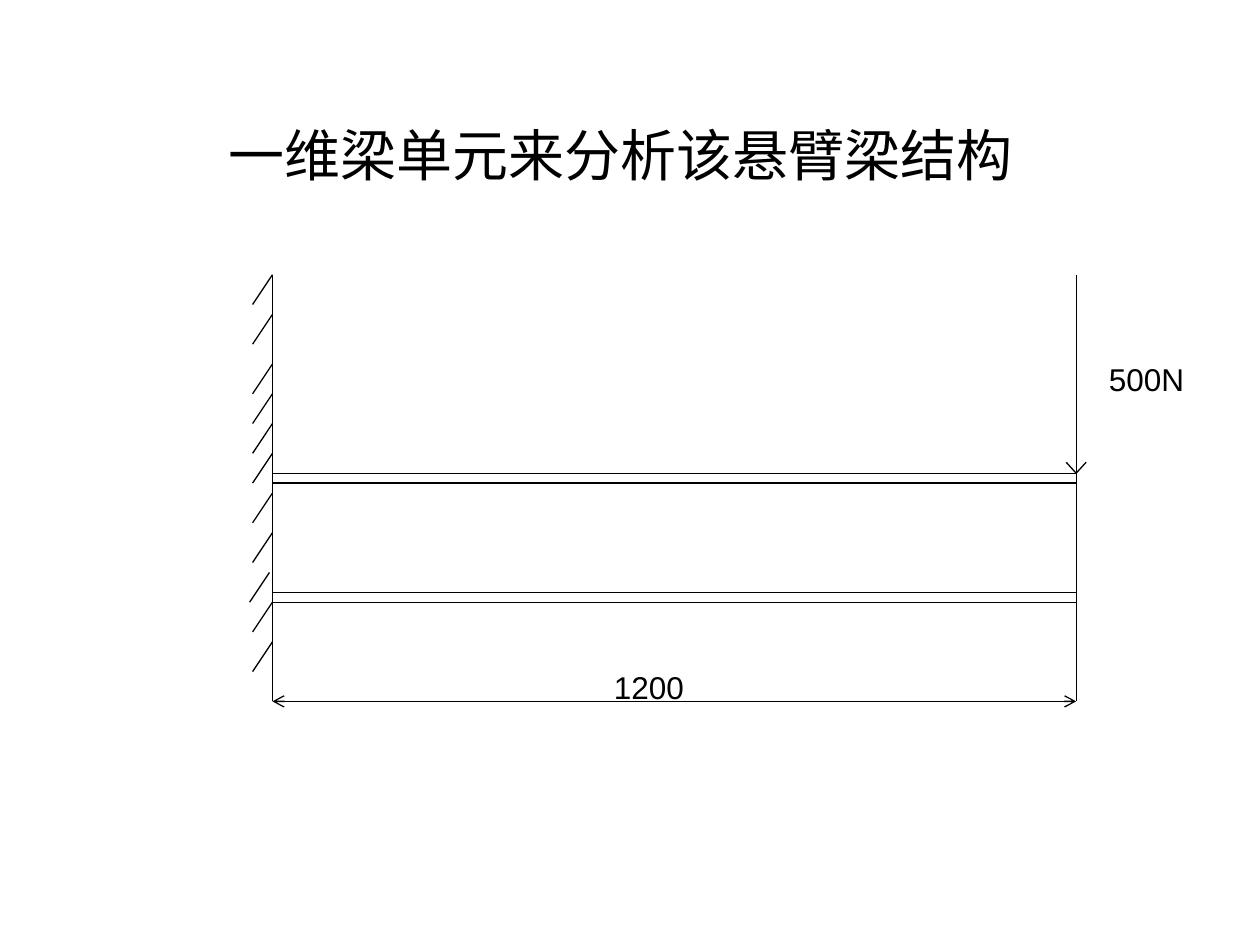
from lxml import etree
from pptx import Presentation
from pptx.dml.color import RGBColor
from pptx.enum import shapes, text
from pptx.oxml.ns import qn
from pptx.util import Pt

BLACK = RGBColor(0, 0, 0)
UNIT = 5.67  # drawing grid, 2 mm in points
SPAN = 81    # beam length in grid units
HATCH_ROWS = (0, 4, 9, 12, 15, 18, 22, 26, 30, 33, 37)
FLANGE_ROWS = (20, 21, 32, 33)
WALL_END, LOAD_END, DIMENSION_ROW = 37, 38, 43


def add_text(slide, wording, left, top, width, height, size=18,
             align=text.PP_ALIGN.LEFT, anchor=text.MSO_ANCHOR.TOP):
    frame = slide.shapes.add_textbox(
        Pt(left), Pt(top), Pt(width), Pt(height)).text_frame
    frame.word_wrap = True
    frame.vertical_anchor = anchor
    paragraph = frame.paragraphs[0]
    paragraph.text = wording
    paragraph.alignment = align
    paragraph.font.size = Pt(size)
    paragraph.font.name = "Arial"
    paragraph.font.color.rgb = BLACK


def add_line(slide, x1, y1, x2, y2, arrows=False):
    line = slide.shapes.add_connector(
        shapes.MSO_CONNECTOR.STRAIGHT, Pt(x1), Pt(y1), Pt(x2), Pt(y2))
    line.line.color.rgb = BLACK
    line.line.width = Pt(0.75)
    if arrows:
        outline = line.line._get_or_add_ln()
        for end in ("a:headEnd", "a:tailEnd"):
            etree.SubElement(outline, qn(end), type="arrow")
    etree.SubElement(line._element.spPr, qn("a:effectLst"))


def draw_beam(slide, left, top):
    def grid_line(x1, y1, x2, y2, **style):
        add_line(slide, left + x1 * UNIT, top + y1 * UNIT,
                 left + x2 * UNIT, top + y2 * UNIT, **style)

    # Fixed wall with hatching
    grid_line(0, 0, 0, WALL_END)
    for row in HATCH_ROWS:
        x = -0.3 if row == 30 else 0
        grid_line(x, row, x - 2, row + 3)

    # Beam flanges
    for row in FLANGE_ROWS:
        grid_line(0, row, SPAN, row)

    # Load at the free end, with its open arrowhead
    grid_line(SPAN, 0, SPAN, LOAD_END)
    for side in (-1, 1):
        grid_line(SPAN + side, FLANGE_ROWS[0] - 1.1, SPAN, FLANGE_ROWS[0])
    add_text(slide, "500N", left + 470.9, top + 45.4, 68, 29)

    # Span dimension
    grid_line(0, WALL_END, 0, DIMENSION_ROW)
    grid_line(SPAN, LOAD_END, SPAN, DIMENSION_ROW)
    grid_line(0, DIMENSION_ROW, SPAN, DIMENSION_ROW, arrows=True)
    add_text(slide, "1200", left + 188, top + 221, 68.5, 29)


def main():
    deck = Presentation()
    deck.slide_width, deck.slide_height = Pt(720), Pt(540)
    slide = deck.slides.add_slide(deck.slide_layouts[6])
    add_text(slide, "一维梁单元来分析该悬臂梁结构", 31, 43.2, 648, 90, size=32,
             align=text.PP_ALIGN.CENTER, anchor=text.MSO_ANCHOR.MIDDLE)
    draw_beam(slide, 155.7, 157)
    deck.save("out.pptx")


if __name__ == "__main__":
    main()
